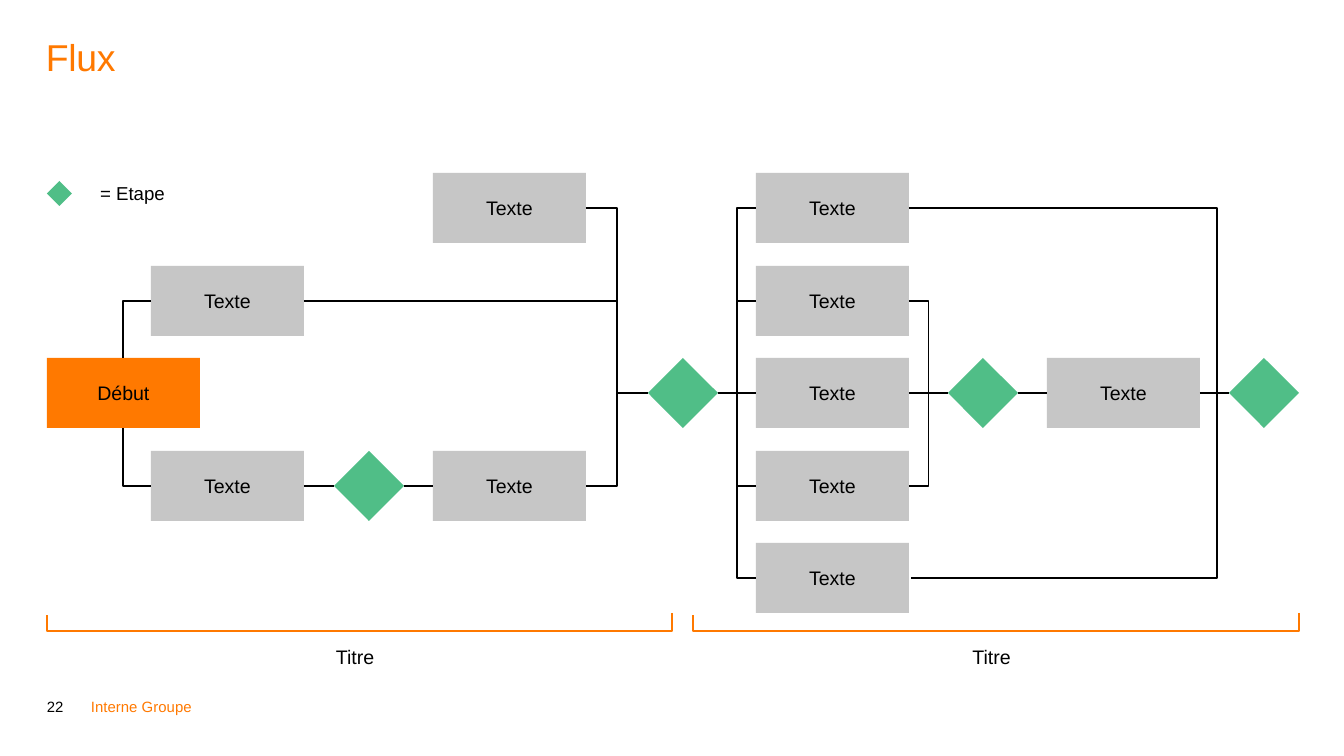
import pptx
import pptx.dml.color
import pptx.enum.shapes
import pptx.enum.text
import pptx.oxml.ns
import pptx.oxml.xmlchemy
import pptx.util
from lxml import etree

EMU_PER_PX = 914400 / 134.4
COLORS = {"orange": "FF7900", "green": "50BE87", "gray": "8F8F8F", "black": "000000"}
FONT = "Arial"
ROWS = [173, 266, 358, 451, 543]
BOX_W, BOX_H = 153, 70
TOP, LEFT, BOTTOM, RIGHT = range(4)

SHAPE = pptx.enum.shapes.MSO_SHAPE
CONNECTOR = pptx.enum.shapes.MSO_CONNECTOR
ALIGN = pptx.enum.text.PP_ALIGN
ANCHOR = pptx.enum.text.MSO_ANCHOR
qn = pptx.oxml.ns.qn


def px(value):
    return pptx.util.Emu(round(value * EMU_PER_PX))


def rgb(name):
    return pptx.dml.color.RGBColor.from_string(COLORS[name])


def format_text(sp, text, size, color="black", align=ALIGN.LEFT, anchor=ANCHOR.TOP,
                inset=0, wrap=True, spacing=None):
    tf = sp.text_frame
    tf.text = text
    tf.word_wrap = wrap
    tf.auto_size = pptx.enum.text.MSO_AUTO_SIZE.NONE
    tf.vertical_anchor = anchor
    tf.margin_left = tf.margin_right = tf.margin_top = tf.margin_bottom = px(inset)
    p = tf.paragraphs[0]
    p.alignment = align
    if spacing:
        p.line_spacing = spacing
    r = p.runs[0]
    r.font.name = FONT
    r.font.size = pptx.util.Pt(size)
    r.font.color.rgb = rgb(color)
    return r


def add_title(s, text):
    sp = s.shapes.title
    sp.left, sp.top, sp.width, sp.height = px(46), px(39), px(1251), px(109)
    r = format_text(sp, text, 20, "orange", spacing=0.9)
    r.font._element.set("spc", "-20")


def add_label(s, text, x, y, w, h, size, **style):
    sp = s.shapes.add_textbox(px(x), px(y), px(w), px(h))
    format_text(sp, text, size, **style)


def add_filled(s, kind, x, y, w, h, color):
    sp = s.shapes.add_shape(kind, px(x), px(y), px(w), px(h))
    sp.shadow.inherit = False
    sp.fill.solid()
    sp.fill.fore_color.rgb = rgb(color)
    sp.line.fill.background()
    return sp


def add_box(s, x, row, text="Texte", color="gray", alpha=50):
    sp = add_filled(s, SHAPE.RECTANGLE, x, ROWS[row], BOX_W, BOX_H, color)
    if alpha < 100:
        clr = sp._element.spPr.find(".//" + qn("a:srgbClr"))
        etree.SubElement(clr, qn("a:alpha")).set("val", str(alpha * 1000))
    format_text(sp, text, 10.5, align=ALIGN.CENTER, anchor=ANCHOR.MIDDLE, inset=5)
    return sp


def add_step(s, x, y, size=BOX_H):
    return add_filled(s, SHAPE.FLOWCHART_DECISION, x, y, size, size, "green")


def add_line(s, kind, start=(0, 0), end=(0, 0), color="black", bend=None):
    """Draw a connector; bend is the place of the elbow as a share of the width."""
    c = s.shapes.add_connector(kind, *(px(v) for v in start + end))
    c.line.color.rgb = rgb(color)
    c.line.width = pptx.util.Pt(1)
    sp_pr = c._element.spPr
    etree.SubElement(sp_pr, qn("a:effectLst"))
    if bend is not None:
        guides = sp_pr.find(".//" + qn("a:avLst"))
        gd = etree.SubElement(guides, qn("a:gd"))
        gd.set("name", "adj1")
        gd.set("fmla", f"val {round(bend * 100000)}")
    return c


def join(s, a, b, kind=CONNECTOR.ELBOW, sides=(RIGHT, LEFT), bend=None):
    c = add_line(s, kind, bend=bend)
    c.begin_connect(a, sides[0])
    c.end_connect(b, sides[1])
    return c


def join_corner(s, a, b, sides):
    """Join with a single right-angle turn."""
    c = join(s, a, b, sides=sides)
    c._element.spPr.find(qn("a:prstGeom")).set("prst", "bentConnector2")


def add_bracket(s, left, right, title):
    """Draw an elbow turned a quarter so that it opens upwards."""
    top, depth, step = 613, 18, 2
    length, middle = right - left, (left + right) / 2
    y = top + step / 2 - length / 2
    c = add_line(s, CONNECTOR.ELBOW, (middle - step / 2, y),
                 (middle + step / 2, y + length), "orange", depth / step)
    c._element.spPr.find(qn("a:xfrm")).set("rot", "5400000")
    add_label(s, title, middle - 26, 645, 43, 24, 10.5, align=ALIGN.CENTER, wrap=False)


def main():
    prs = pptx.Presentation()
    prs.slide_width, prs.slide_height = px(1344), px(756)
    s = prs.slides.add_slide(prs.slide_layouts[5])
    add_title(s, "Flux")
    add_label(s, "22", 47, 667, 40, 49, 8, anchor=ANCHOR.BOTTOM, spacing=0.85)
    add_label(s, "Interne Groupe", 91, 698, 109, 17, 8, color="orange", wrap=False)

    add_step(s, 47, 181, 25)
    add_label(s, "= Etape", 98, 182, 69, 23, 10, align=ALIGN.CENTER, wrap=False)

    start = add_box(s, 47, 2, "Début", "orange", 100)
    upper, lower = (add_box(s, 151, row) for row in (1, 3))
    side, after = (add_box(s, 433, row) for row in (0, 3))
    branches = [add_box(s, 756, row) for row in range(len(ROWS))]
    last = add_box(s, 1047, 2)
    lower_step = add_step(s, 334, ROWS[3])
    split, merge, finish = (add_step(s, x, ROWS[2]) for x in (648, 948, 1229))

    join_corner(s, upper, start, (LEFT, TOP))
    join_corner(s, lower, start, (LEFT, BOTTOM))
    for a, b in ((lower, lower_step), (lower_step, after), (split, branches[2]),
                 (branches[2], merge), (merge, last), (last, finish)):
        join(s, a, b, CONNECTOR.STRAIGHT)
    for i in (0, 1, 3, 4):
        join(s, split, branches[i])
    for i in (1, 3):
        join(s, branches[i], merge)
    join(s, side, split)
    join(s, upper, after, sides=(RIGHT, RIGHT), bend=1.11)

    outer = add_line(s, CONNECTOR.ELBOW, (909, 208), (911, 578), bend=153)
    outer.begin_connect(branches[0], RIGHT)

    add_bracket(s, 47, 672, "Titre")
    add_bracket(s, 693, 1299, "Titre")
    prs.save("out.pptx")


if __name__ == "__main__":
    main()
